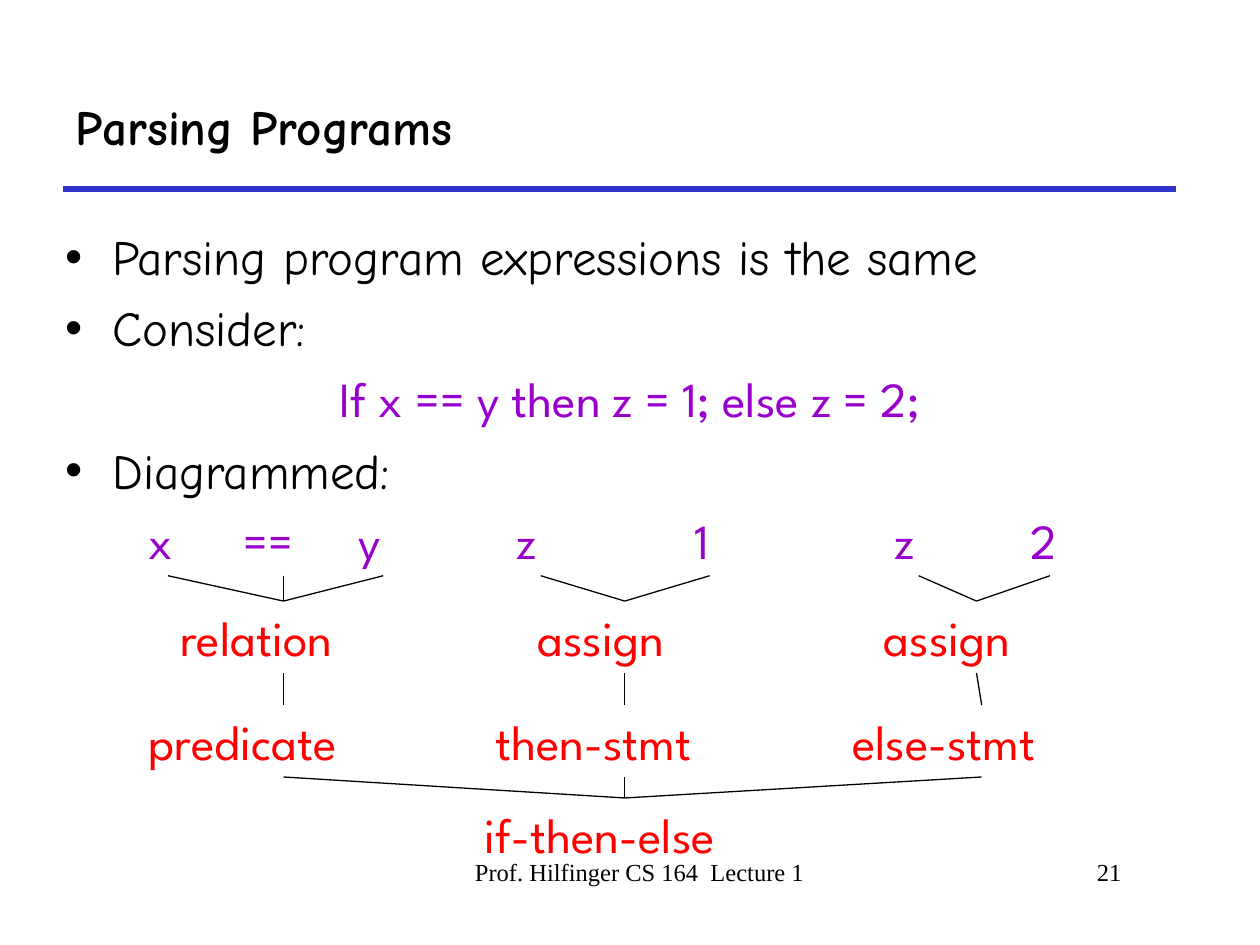
from lxml.etree import SubElement
from pptx import Presentation
from pptx.dml.color import RGBColor
from pptx.enum.shapes import MSO_CONNECTOR as Connector
from pptx.enum.text import MSO_ANCHOR as Anchor, MSO_AUTO_SIZE as AutoSize, PP_ALIGN as Align
from pptx.oxml.ns import qn
from pptx.util import Pt

THEME = {
    "black": RGBColor(0x00, 0x00, 0x00),
    "rule": RGBColor(0x33, 0x33, 0xCC),
    "token": RGBColor(0x99, 0x00, 0xCC),
    "node": RGBColor(0xFF, 0x00, 0x00),
    "prose": "Comic Neue",
    "code": "League Spartan",
    "footer": "Times New Roman",
    "size": 28,
    "footer_size": 14,
}

TITLE = "Parsing Programs"
BODY = [  # text, is code
    ("Parsing program expressions is the same", False),
    ("Consider:", False),
    ("If x == y then z = 1; else z = 2;", True),
    ("Diagrammed:", False),
]
FOOTERS = [  # text, left, width, alignment
    ("Prof. Hilfinger CS 164  Lecture 1", 222, 270, Align.CENTER),
    ("21", 498, 150, Align.RIGHT),
]

LABEL_HEIGHT, TALL = 41, 75
ROWS = [  # top, colour, labels as (text, left, width, height)
    (288, "token", [
        ("x", 78, 36, LABEL_HEIGHT), ("==", 132, 60, LABEL_HEIGHT), ("y", 198, 42, LABEL_HEIGHT),
        ("z", 288, 42, LABEL_HEIGHT), ("1", 390, 30, LABEL_HEIGHT),
        ("z", 504, 42, LABEL_HEIGHT), ("2", 582, 36, LABEL_HEIGHT),
    ]),
    (343.5, "node", [
        ("relation", 96, 132, TALL), ("assign", 300, 114, TALL), ("assign", 498, 120, LABEL_HEIGHT),
    ]),
    (403, "node", [
        ("predicate", 78, 168, LABEL_HEIGHT), ("then-stmt", 276, 162, TALL),
        ("else-stmt", 480, 162, TALL),
    ]),
    (456, "node", [("if-then-else", 270, 174, TALL)]),
]
BRANCHES = [  # between each row and the next: (x of parent, x of each child)
    [(162, [96, 162, 219]), (357, [309, 405.5]), (558, [525, 600])],
    [(162, [162]), (357, [357]), (561, [558])],
    [(357, [162, 357, 561])],
]


def place(shape, left, top, width, height):
    box = {"left": left, "top": top, "width": width, "height": height}
    for name, value in box.items():
        setattr(shape, name, Pt(value))


def write(paragraph, text, font, color="black", size="size", bold=False, **layout):
    """Fill a paragraph; layout holds paragraph attributes such as alignment."""
    run = paragraph.add_run()
    run.text = text
    style = {"name": THEME[font], "size": Pt(THEME[size]), "bold": bold}
    for name, value in style.items():
        setattr(run.font, name, value)
    run.font.color.rgb = THEME[color]
    for name, value in layout.items():
        setattr(paragraph, name, value)


def set_indent(paragraph, left, first=0):
    properties = paragraph._p.get_or_add_pPr()
    properties.set("marL", str(Pt(left)))
    properties.set("indent", str(Pt(first)))
    return properties


def set_bullet(properties, char=None):
    if char is None:
        SubElement(properties, qn("a:buNone"))
        return
    color = SubElement(properties, qn("a:buClr"))
    SubElement(color, qn("a:srgbClr"), val=str(THEME["black"]))
    SubElement(properties, qn("a:buChar"), char=char)


def add_line(shapes, start, end, color="black", width=0.75):
    points = [Pt(value) for value in (*start, *end)]
    line = shapes.add_connector(Connector.STRAIGHT, *points)
    line.line.color.rgb = THEME[color]
    line.line.width = Pt(width)
    SubElement(line._element.spPr, qn("a:effectLst"))


def add_text(shapes, left, top, width, height, auto_size=AutoSize.NONE):
    """Add a wrapping text box and return its first paragraph."""
    box = shapes.add_textbox(*[Pt(value) for value in (left, top, width, height)])
    box.text_frame.word_wrap = True
    box.text_frame.auto_size = auto_size
    return box.text_frame.paragraphs[0]


def add_heading(slide):
    title = slide.shapes.title
    place(title, 36, 36, 636, 72)
    title.text_frame.vertical_anchor = Anchor.MIDDLE
    title.text_frame.auto_size = AutoSize.NONE
    write(title.text_frame.paragraphs[0], TITLE, "prose", bold=True, alignment=Align.LEFT)


def add_body(slide):
    body = slide.placeholders[1]
    place(body, 30, 126, 660, 174)
    frame = body.text_frame
    frame.auto_size = AutoSize.NONE
    for index, (text, is_code) in enumerate(BODY):
        paragraph = frame.add_paragraph() if index else frame.paragraphs[0]
        write(paragraph, text,
              font="code" if is_code else "prose",
              color="token" if is_code else "black",
              alignment=Align.CENTER if is_code else Align.LEFT,
              space_before=Pt(7))
        set_bullet(set_indent(paragraph, 27, -27), None if is_code else "•")


def add_tree(slide):
    shapes = slide.shapes.add_group_shape().shapes
    for top, color, labels in ROWS:
        for text, left, width, height in labels:
            paragraph = add_text(shapes, left, top, width, height, AutoSize.SHAPE_TO_FIT_TEXT)
            write(paragraph, text, "code", color, space_before=Pt(17.5))
    for (upper, *_), (lower, *_), branches in zip(ROWS, ROWS[1:], BRANCHES):
        for parent, children in branches:
            for child in children:
                add_line(shapes, (child, upper + LABEL_HEIGHT), (parent, lower))


def main():
    presentation = Presentation()
    presentation.slide_width, presentation.slide_height = Pt(720), Pt(540)
    slide = presentation.slides.add_slide(presentation.slide_layouts[1])
    add_line(slide.shapes, (36, 108), (672, 108), "rule", 3)
    add_heading(slide)
    add_body(slide)
    add_tree(slide)
    for text, left, width, alignment in FOOTERS:
        paragraph = add_text(slide.shapes, left, 486, width, 36)
        write(paragraph, text, "footer", size="footer_size", alignment=alignment)
        set_indent(paragraph, 17)
    presentation.save("out.pptx")


if __name__ == "__main__":
    main()
